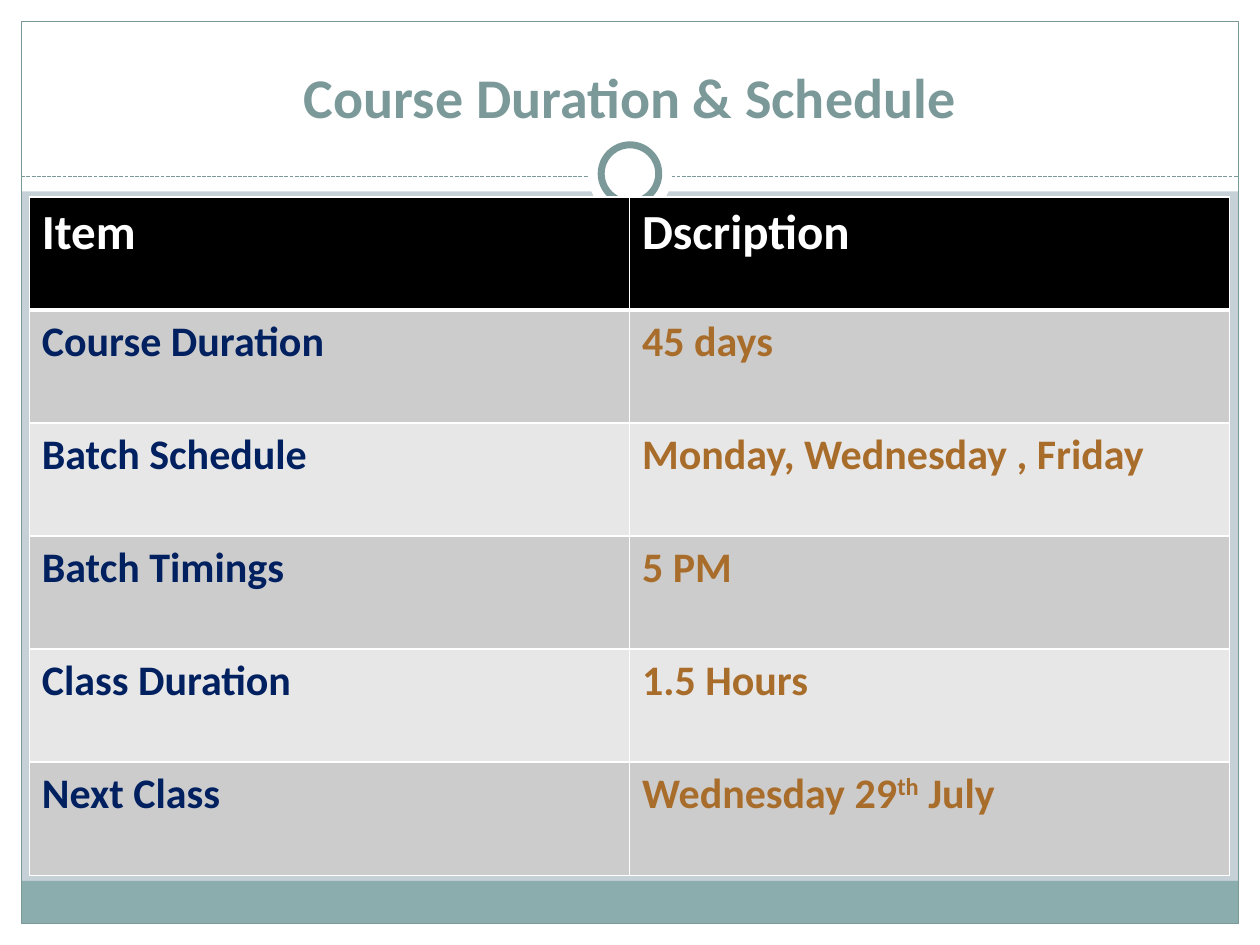
"""Build the course duration and schedule slide."""
from dataclasses import dataclass
from typing import Optional

import pptx
import pptx.dml.color
import pptx.enum.dml
import pptx.enum.shapes
import pptx.enum.text
import pptx.oxml
import pptx.oxml.ns
import pptx.util
from pptx.util import Cm

SHAPES = pptx.enum.shapes.MSO_SHAPE
WHITE, TEAL, SAGE = "FFFFFF", "7C999A", "8CADAE"
NAVY, BROWN = "002060", "A96D2B"
WIDTH, HEIGHT, MARGIN = 25.4, 19.05, 0.43
ROW_HEIGHT, COLUMN_WIDTH = 2.28, 12.1


@dataclass
class Block:
    left: float
    top: float
    width: float
    height: float
    fill: Optional[str] = WHITE
    line: Optional[str] = None
    weight: float = 0.75
    kind: SHAPES = SHAPES.RECTANGLE


@dataclass
class Entry:
    item: str
    description: str
    raised: str = ""
    ending: str = ""


BLOCKS = [
    Block(0, HEIGHT - MARGIN, WIDTH, MARGIN),
    Block(0, 0, WIDTH, 3.86),
    Block(0, 0, MARGIN, HEIGHT),
    Block(WIDTH - MARGIN, 0, MARGIN, HEIGHT),
    Block(MARGIN, 17.76, WIDTH - 2 * MARGIN, 0.86, SAGE),
    Block(MARGIN, MARGIN, WIDTH - 2 * MARGIN, HEIGHT - 2 * MARGIN, None, TEAL),
]
RINGS = [
    Block(11.85, 2.67, 1.7, 1.7, kind=SHAPES.OVAL),
    Block(12.12, 2.92, 1.16, 1.16, line=TEAL, weight=4, kind=SHAPES.OVAL),
]
ENTRIES = [
    Entry("Item", "Dscription"),
    Entry("Course Duration", "45 days"),
    Entry("Batch Schedule", "Monday, Wednesday , Friday"),
    Entry("Batch Timings", "5 PM"),
    Entry("Class Duration", "1.5 Hours"),
    Entry("Next Class", "Wednesday 29", "th", " July"),
]


def paint(target, colour: str) -> None:
    """Give a fill or a line a solid colour."""
    target.solid()
    target.fore_color.rgb = pptx.dml.color.RGBColor.from_string(colour)


def add_block(page, block: Block) -> None:
    """Draw one filled or outlined preset shape."""
    shape = page.shapes.add_shape(
        block.kind, Cm(block.left), Cm(block.top), Cm(block.width), Cm(block.height))
    shape.shadow.inherit = False
    if block.fill:
        paint(shape.fill, block.fill)
    else:
        shape.fill.background()
    if block.line:
        paint(shape.line.fill, block.line)
        shape.line.width = pptx.util.Pt(block.weight)
    else:
        shape.line.fill.background()


def add_divider(page, height: float) -> None:
    """Draw the dashed line under the title."""
    divider = page.shapes.add_connector(
        pptx.enum.shapes.MSO_CONNECTOR.STRAIGHT,
        Cm(MARGIN), Cm(height), Cm(WIDTH - MARGIN), Cm(height))
    paint(divider.line.fill, TEAL)
    divider.line.width = pptx.util.Pt(0.75)
    divider.line.dash_style = pptx.enum.dml.MSO_LINE.SQUARE_DOT
    divider._element.spPr.append(pptx.oxml.parse_xml(
        f'<a:effectLst {pptx.oxml.ns.nsdecls("a")}/>'))


def add_text(para, text: str, *, size: float, colour: str, raised: bool = False) -> None:
    """Append a bold span to a paragraph."""
    span = para.add_run()
    span.text = text
    span.font.name = "Calibri"
    span.font.size = pptx.util.Pt(size)
    span.font.bold = True
    paint(span.font.fill, colour)
    if raised:
        span._r.get_or_add_rPr().set("baseline", "30000")


def add_title(page, text: str) -> None:
    """Place the centred title above the divider."""
    box = page.shapes.add_textbox(Cm(0.85), Cm(0.64), Cm(23.7), Cm(2.11))
    frame = box.text_frame
    frame.word_wrap = True
    frame.vertical_anchor = pptx.enum.text.MSO_ANCHOR.BOTTOM
    para = frame.paragraphs[0]
    para.alignment = pptx.enum.text.PP_ALIGN.CENTER
    add_text(para, text, size=32, colour=TEAL)


def add_borders(cell, **weights: float) -> None:
    """Draw white borders, with a weight in points for each of L, R, T and B."""
    properties = cell._tc.get_or_add_tcPr()
    for side, weight in weights.items():
        properties.append(pptx.oxml.parse_xml(
            f'<a:ln{side} {pptx.oxml.ns.nsdecls("a")} w="{pptx.util.Pt(weight)}">'
            f'<a:solidFill><a:srgbClr val="{WHITE}"/></a:solidFill></a:ln{side}>'))


def add_schedule(page, entries: list[Entry]) -> None:
    """Add the two-column table with a black header and grey bands."""
    table = page.shapes.add_table(
        len(entries), 2, Cm(0.59), Cm(3.97),
        Cm(2 * COLUMN_WIDTH), Cm(len(entries) * ROW_HEIGHT)).table
    table.horz_banding = False
    for column in table.columns:
        column.width = Cm(COLUMN_WIDTH)
    for index, entry in enumerate(entries):
        table.rows[index].height = Cm(ROW_HEIGHT)
        header = index == 0
        fill = "000000" if header else ("E7E7E7", "CCCCCC")[index % 2]
        size = 28 if header else 24
        item, description = table.cell(index, 0), table.cell(index, 1)
        for cell in (item, description):
            add_borders(cell, L=1, R=1, T=3 if index == 1 else 1, B=3 if header else 1)
            paint(cell.fill, fill)
        add_text(item.text_frame.paragraphs[0], entry.item,
                 size=size, colour=WHITE if header else NAVY)
        para = description.text_frame.paragraphs[0]
        for text in filter(None, (entry.description, entry.raised, entry.ending)):
            add_text(para, text, size=size, colour=WHITE if header else BROWN,
                     raised=text == entry.raised)


def main() -> None:
    """Build and save the deck."""
    deck = pptx.Presentation()
    deck.slide_width, deck.slide_height = Cm(WIDTH), Cm(HEIGHT)
    page = deck.slides.add_slide(deck.slide_layouts[6])
    paint(page.background.fill, "C5D1D7")
    for block in BLOCKS:
        add_block(page, block)
    add_divider(page, 3.56)
    for ring in RINGS:
        add_block(page, ring)
    add_title(page, "Course Duration & Schedule")
    add_schedule(page, ENTRIES)
    deck.save("out.pptx")


if __name__ == "__main__":
    main()
